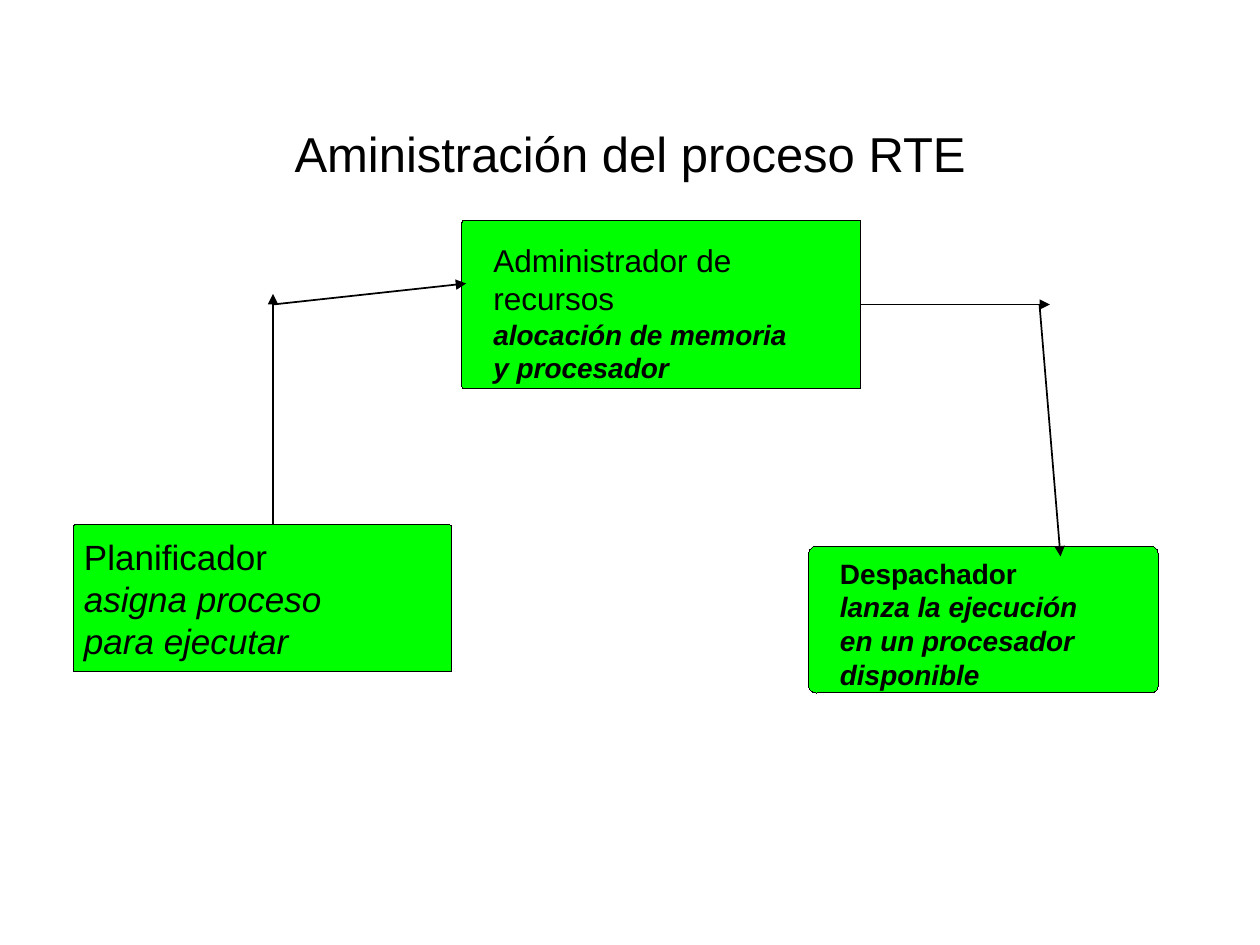
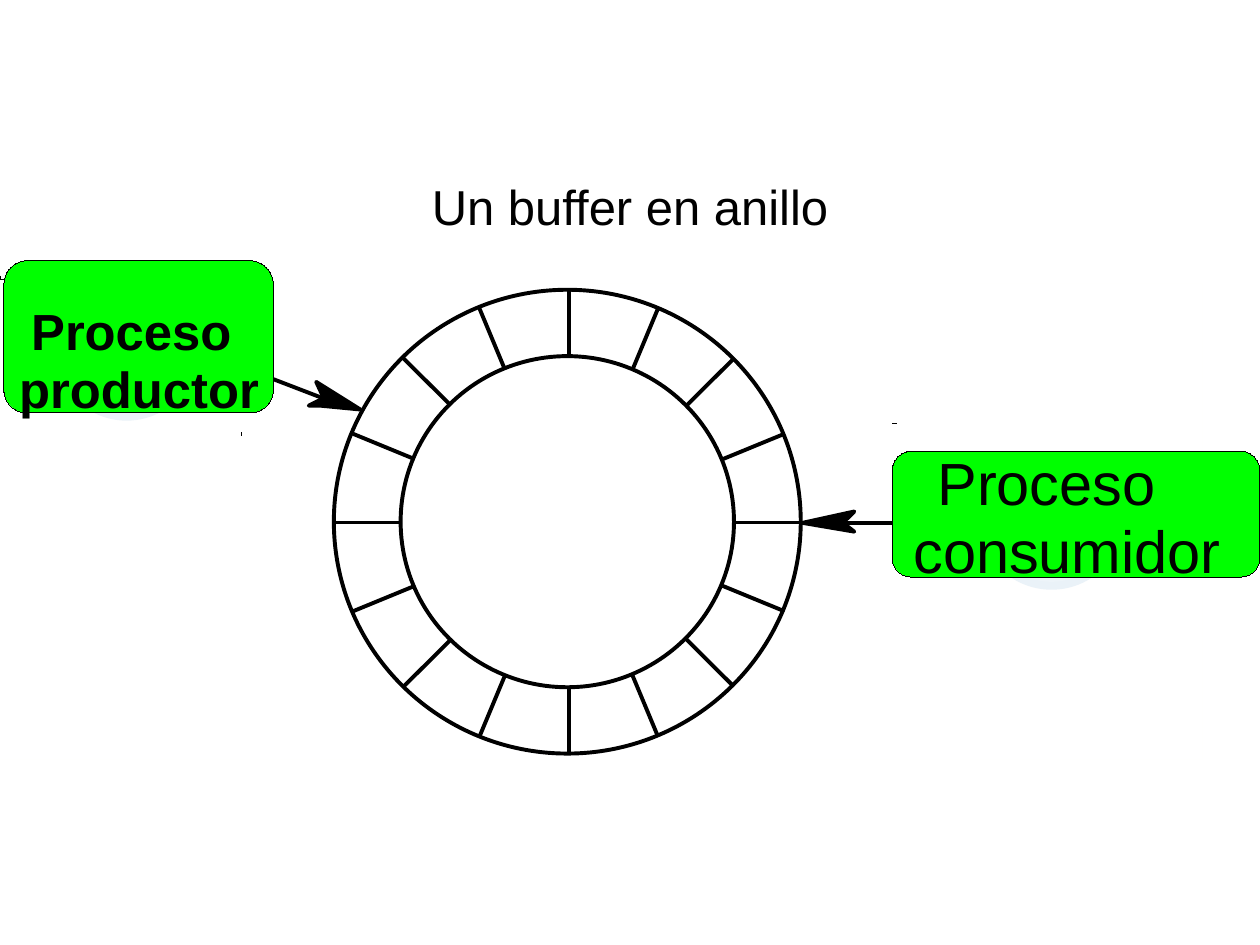
from math import cos, pi, sin

from lxml.etree import SubElement
from pptx import Presentation
from pptx.dml.color import RGBColor
from pptx.enum.shapes import MSO_CONNECTOR, MSO_SHAPE
from pptx.enum.text import MSO_ANCHOR, MSO_AUTO_SIZE, PP_ALIGN
from pptx.oxml.ns import qn
from pptx.util import Pt

FONT, BLACK, WHITE, GREEN = "Arial", "000000", "FFFFFF", "00FF00"
FRAME_COLOR = "FFFFFE"
HALO_COLORS = ("EAF2F8", "EDF4F9")
HAIRLINE, THIN, TICK, THICK = 0, 1, 0.75, 2.25


def rgb(code):
    """Turn a hex string into a colour."""
    return RGBColor.from_string(code)


def set_line(sp, width, color=BLACK):
    """Set the line of a shape, writing its width even when it is zero."""
    sp.line.color.rgb = rgb(color)
    sp.line._get_or_add_ln().set("w", str(Pt(width)))


def paint(sp, fill=None, width=None, color=BLACK):
    """Give a shape its fill and outline, without a shadow."""
    sp.shadow.inherit = False
    if fill:
        sp.fill.solid()
        sp.fill.fore_color.rgb = rgb(fill)
    else:
        sp.fill.background()
    if width is None:
        sp.line.fill.background()
    else:
        set_line(sp, width, color)


def add_shape(s, kind, box, fill=None, width=None, color=BLACK):
    """Add a preset shape in the box."""
    sp = s.shapes.add_shape(kind, *map(Pt, box))
    paint(sp, fill, width, color)
    return sp


def add_line(s, start, end, width, arrow=False):
    """Draw a straight line, with an arrowhead at its end if asked."""
    sp = s.shapes.add_connector(MSO_CONNECTOR.STRAIGHT, *map(Pt, (*start, *end)))
    set_line(sp, width)
    if arrow:
        SubElement(sp.line._get_or_add_ln(), qn("a:tailEnd"), type="triangle")
    SubElement(sp._element.spPr, qn("a:effectLst"))


def add_outline(s, origin, offsets, width, fill=None):
    """Draw a free outline around an origin, closed when it is filled."""
    x, y = origin
    points = [(Pt(x + dx), Pt(y + dy)) for dx, dy in offsets]
    builder = s.shapes.build_freeform(*points[0])
    builder.add_line_segments(points[1:], close=bool(fill))
    paint(builder.convert_to_shape(), fill, width)


def add_text(s, box, lines):
    """Add a text box of (text, size, bold, italic) lines."""
    tf = s.shapes.add_textbox(*map(Pt, box)).text_frame
    tf.margin_left = tf.margin_right = tf.margin_top = tf.margin_bottom = 0
    tf.word_wrap = True
    tf.auto_size = MSO_AUTO_SIZE.SHAPE_TO_FIT_TEXT
    for i, (text, size, bold, italic) in enumerate(lines):
        p = tf.add_paragraph() if i else tf.paragraphs[0]
        p.text = text
        set_font(p, size, bold, italic)


def set_font(p, size, bold=False, italic=False):
    """Format a whole paragraph."""
    p.font.name, p.font.size = FONT, Pt(size)
    p.font.bold, p.font.italic = bold, italic
    p.font.color.rgb = rgb(BLACK)


def add_slide(prs, title, height):
    """Add a slide whose title stands at the foot of its box."""
    s = prs.slides.add_slide(prs.slide_layouts[5])
    sp = s.shapes.title
    sp.left, sp.top, sp.width, sp.height = map(Pt, (54, 48, 612, height))
    tf = sp.text_frame
    tf.text = title
    tf.auto_size = MSO_AUTO_SIZE.NONE
    tf.vertical_anchor = MSO_ANCHOR.BOTTOM
    p = tf.paragraphs[0]
    p.alignment = PP_ALIGN.CENTER
    set_font(p, 28)
    return s


def add_block(s, box, rounding):
    """Add a green rounded block."""
    sp = add_shape(s, MSO_SHAPE.ROUNDED_RECTANGLE, box, GREEN, HAIRLINE)
    sp.adjustments[0] = rounding


def add_component(s, box, rounding, indent, lines):
    """Add a component of the run-time environment with its text."""
    x, y, w, h = box
    dx, dy = indent
    add_block(s, box, rounding)
    add_text(s, (x + dx, y + dy, w - dx, h - dy), lines)


def add_halo(s, left, top, w, h):
    """Add two pale ellipses, one within the other."""
    for color, inset in zip(HALO_COLORS, (0, 4.5)):
        box = (left + inset, top + inset, w - 2 * inset, h - 2 * inset)
        add_shape(s, MSO_SHAPE.OVAL, box, color)


def add_process(s, box, halo, words, size, bold):
    """Add a process block over its halo, one text box for each word."""
    x, y, w, h = box
    dx, dy, halo_w, halo_h = halo
    add_halo(s, x + dx, y + dy, halo_w, halo_h)
    add_block(s, box, 0.154)
    for text, dx, dy, width in words:
        add_text(s, (x + dx, y + dy, width, size * 1.2), [(text, size, bold, False)])


def add_ring(s, box, hole=0.714, cells=16):
    """Draw a ring divided into equal cells."""
    x, y, w, h = box
    cx, cy = x + w / 2, y + h / 2
    add_shape(s, MSO_SHAPE.OVAL, box, WHITE, THICK)
    inner = (cx - w * hole / 2, cy - h * hole / 2, w * hole, h * hole)
    add_shape(s, MSO_SHAPE.OVAL, inner, None, THICK)
    hub_x, hub_y = cx + 0.8, cy + 0.5
    for i in range(cells):
        angle = 2 * pi * i / cells
        ends = [(hub_x + k * w / 2 * cos(angle), hub_y + k * h / 2 * sin(angle))
                for k in (hole, 1)]
        add_line(s, *ends, THICK)


def build_process_management(prs):
    """Slide with the three components and the arrows between them."""
    s = add_slide(prs, "Aministración del proceso RTE", 59.8)
    add_component(s, (42, 300, 216, 84), 0.01, (6, 6), [
        ("Planificador", 20, False, False),
        ("asigna proceso", 20, False, True),
        ("para ejecutar", 20, False, True)])
    add_component(s, (264, 126, 228, 96), 0.011, (18, 12), [
        ("Administrador de", 18, False, False),
        ("recursos", 18, False, False),
        ("alocación de memoria", 16, True, True),
        ("y procesador", 16, True, True)])
    add_component(s, (462, 312, 200, 84), 0.052, (18, 6), [
        ("Despachador", 16, True, False),
        ("lanza la ejecución", 16, True, True),
        ("en un procesador", 16, True, True),
        ("disponible", 16, True, True)])
    for start, end in (
        ((156, 300), (156, 168)),
        ((156, 174), (266.4, 162)),
        ((492, 174), (600, 174)),
        ((594, 174), (606, 318)),
    ):
        add_line(s, start, end, THIN, arrow=True)


def build_ring_buffer(prs):
    """Slide with the ring buffer, its producer and its consumer."""
    s = add_slide(prs, "Un buffer en anillo", 90)
    add_shape(s, MSO_SHAPE.RECTANGLE, (0, 162, 687, 272), None, HAIRLINE, FRAME_COLOR)
    add_ring(s, (190.8, 165.6, 266.8, 265))
    add_line(s, (190.1, 229.7), (137.5, 209.5), THICK)
    add_line(s, (474.5, 299), (528.5, 299), THICK)
    producer_head = [(-20.9, -6.5), (-25.2, -15.8), (0, 0), (-23, -2.2), (-29.5, -2.2)]
    consumer_head = [(23.1, 0), (29.6, 5), (0, 0), (29.6, -6.5)]
    add_outline(s, (205.9, 234), producer_head, THICK, BLACK)
    add_outline(s, (458.6, 298.8), consumer_head, THICK, BLACK)
    add_outline(s, (0, 157.7), [(0, 0), (0, 2.2), (2.2, 2.2)], TICK)
    add_line(s, (138.2, 249.1), (138.2, 247), TICK)
    add_line(s, (509.8, 241.9), (512.6, 241.9), TICK)
    add_process(s, (2.2, 149, 154, 87), (29.5, 10.8, 81.4, 80.6),
                [("Proceso", 15.6, 22.4, 118), ("productor", 8.8, 55.5, 140)], 29, True)
    add_process(s, (509.8, 257.8, 210.2, 72), (50.4, 0.7, 81.4, 78.5),
                [("Proceso", 25.9, -2.9, 128), ("consumidor", 12.2, 36, 179.3)], 34, False)


def main():
    """Build and save the presentation."""
    prs = Presentation()
    prs.slide_width, prs.slide_height = Pt(720), Pt(540)
    build_process_management(prs)
    build_ring_buffer(prs)
    prs.save("out.pptx")


if __name__ == "__main__":
    main()
